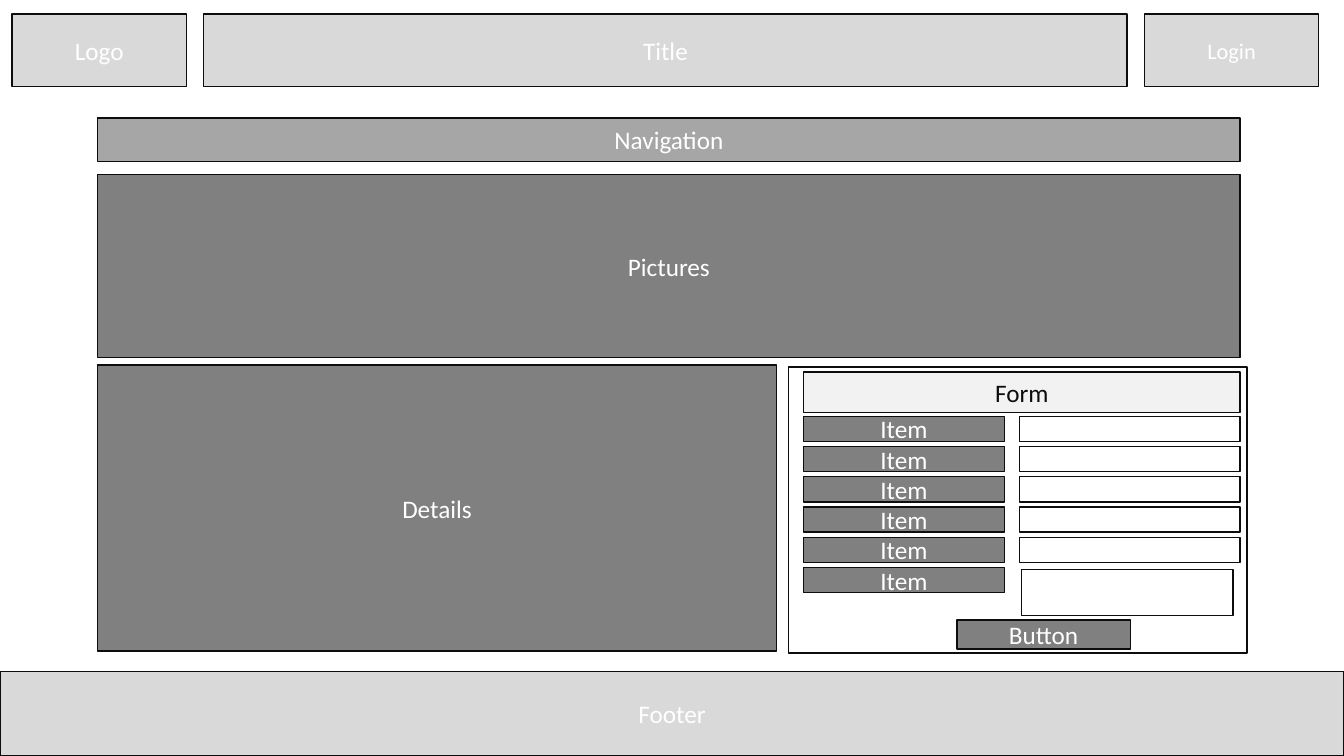
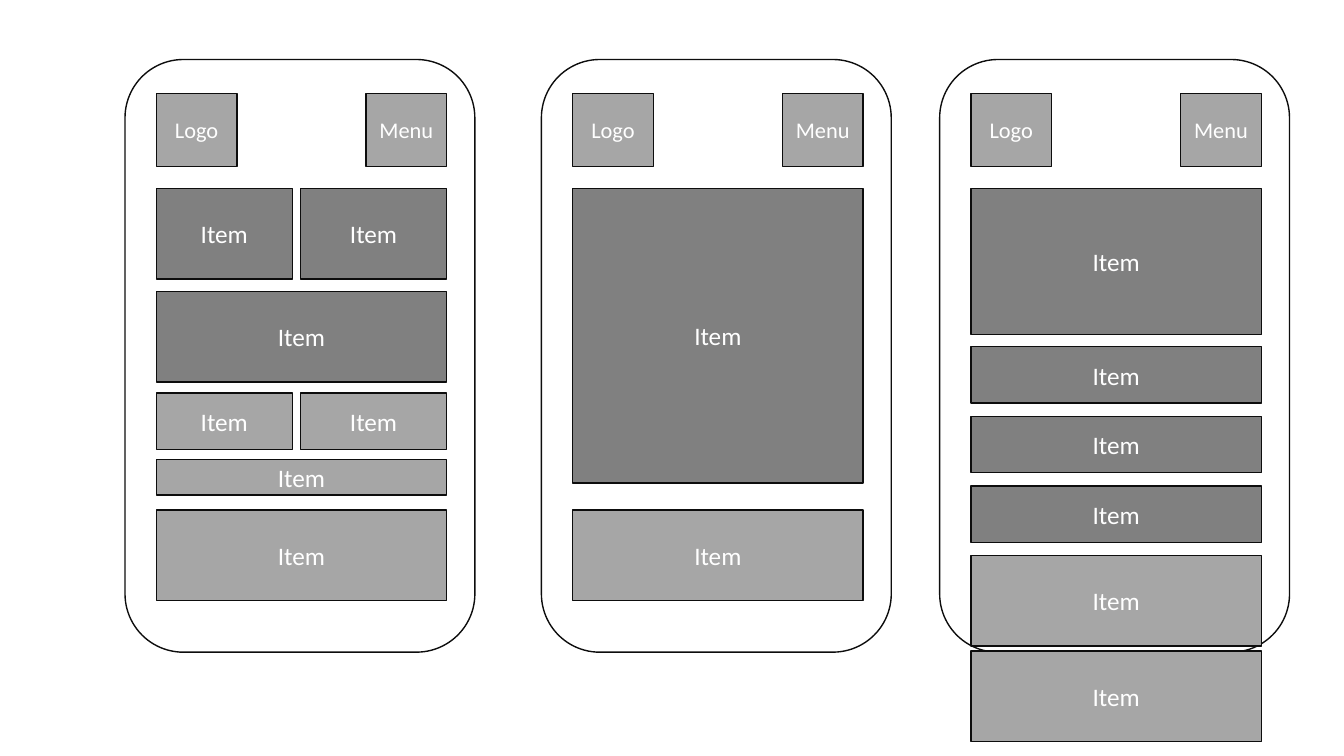
import pptx
import pptx.util
import pptx.dml.color
import pptx.enum.shapes
import pptx.enum.text

WIDE, HIGH = 13.33, 7.5
INK, WHITE = "0D0D0D", "FFFFFF"
DARK, MID, LIGHT, PALE = "808080", "A6A6A6", "D9D9D9", "F2F2F2"
FONT = "Calibri"
KIND = pptx.enum.shapes.MSO_SHAPE


def tint(color, code):
    color.rgb = pptx.dml.color.RGBColor.from_string(code)


def dress(shape, text, fill, size=18, ink=WHITE):
    if fill:
        shape.fill.solid()
        tint(shape.fill.fore_color, fill)
    else:
        shape.fill.background()
    tint(shape.line.color, INK)
    shape.line.width = pptx.util.Pt(1)
    if not text:
        return
    frame = shape.text_frame
    frame.text = text
    frame.word_wrap = True
    frame.auto_size = pptx.enum.text.MSO_AUTO_SIZE.NONE
    frame.vertical_anchor = pptx.enum.text.MSO_ANCHOR.MIDDLE
    line = frame.paragraphs[0]
    line.alignment = pptx.enum.text.PP_ALIGN.CENTER
    font = line.runs[0].font
    font.name = FONT
    font.size = pptx.util.Pt(size)
    tint(font.color, ink)


def box(slide, area, text="", fill=None, size=18, ink=WHITE, kind=KIND.RECTANGLE):
    shape = slide.shapes.add_shape(kind, *map(pptx.util.Inches, area))
    shape.shadow.inherit = False
    dress(shape, text, fill, size, ink)


def header(slide, area):
    left, top, width, height = area
    side, gap = 1.73, 0.17
    box(slide, (left, top, side, height), "Logo", LIGHT)
    box(slide, (left + width - side, top, side, height), "Login", LIGHT, 16)
    title = slide.shapes.title
    middle = (left + side + gap, top, width - 2 * (side + gap), height)
    title.left, title.top, title.width, title.height = map(pptx.util.Inches, middle)
    dress(title, "Title", LIGHT)


def form(slide, area):
    left, top, width, height = area
    row, pitch, count = 0.25, 0.3, 6
    start = top + 0.49
    box(slide, area)
    box(slide, (left + 0.15, top + 0.05, width - 0.22, 0.4), "Form", PALE, ink=INK)
    for i in range(count):
        y = start + i * pitch
        box(slide, (left + 0.15, y, 1.99, row), "Item", DARK)
        if i < count - 1:
            box(slide, (left + 2.29, y, 2.19, row), fill=WHITE)
        else:
            box(slide, (left + 2.31, y + 0.02, 2.1, 0.46), fill=WHITE)
    box(slide, (left + 1.67, top + height - 0.33, 1.72, 0.29), "Button", DARK)


def phone(slide, area, rows):
    left, top, width, height = area
    x, wide, icon = left + 0.31, width - 0.59, 0.8
    box(slide, area, kind=KIND.ROUNDED_RECTANGLE)
    box(slide, (x, top + 0.34, icon, 0.72), "Logo", MID, 16)
    box(slide, (x + wide - icon, top + 0.34, icon, 0.72), "Menu", MID, 16)
    halves = ((0, 1.35), (1.43, wide - 1.43))
    for start, tall, fill, split in rows:
        for shift, span in halves if split else ((0, wide),):
            box(slide, (x + shift, top + 1.28 + start, span, tall), "Item", fill)


def desktop(deck):
    slide = deck.slides.add_slide(deck.slide_layouts[5])
    left, width = 0.97, 11.33
    header(slide, (0.12, 0.14, 12.96, 0.72))
    box(slide, (left, 1.17, width, 0.43), "Navigation", MID)
    box(slide, (left, 1.73, width, 1.82), "Pictures", DARK)
    box(slide, (left, 3.62, 6.73, 2.84), "Details", DARK)
    form(slide, (7.82, 3.64, 4.55, 2.84))
    box(slide, (0, 6.66, WIDE, HIGH - 6.66), "Footer", LIGHT)


def mobile(deck):
    slide = deck.slides.add_slide(deck.slide_layouts[6])
    home = [
        (0, 0.9, DARK, True),
        (1.02, 0.9, DARK, False),
        (2.03, 0.56, MID, True),
        (2.69, 0.35, MID, False),
        (3.19, 0.9, MID, False),
    ]
    detail = [(0, 2.92, DARK, False), (3.19, 0.9, MID, False)]
    scroll = [(0, 1.45, DARK, False)]
    scroll += [(1.57 + 0.69 * i, 0.56, DARK, False) for i in range(3)]
    scroll += [(3.64 + 0.95 * i, 0.9, MID, False) for i in range(2)]
    for left, rows in ((1.24, home), (5.37, detail), (9.32, scroll)):
        phone(slide, (left, 0.59, 3.47, 5.88), rows)


def main():
    deck = pptx.Presentation()
    deck.slide_width = pptx.util.Inches(WIDE)
    deck.slide_height = pptx.util.Inches(HIGH)
    desktop(deck)
    mobile(deck)
    deck.save("out.pptx")


if __name__ == "__main__":
    main()
